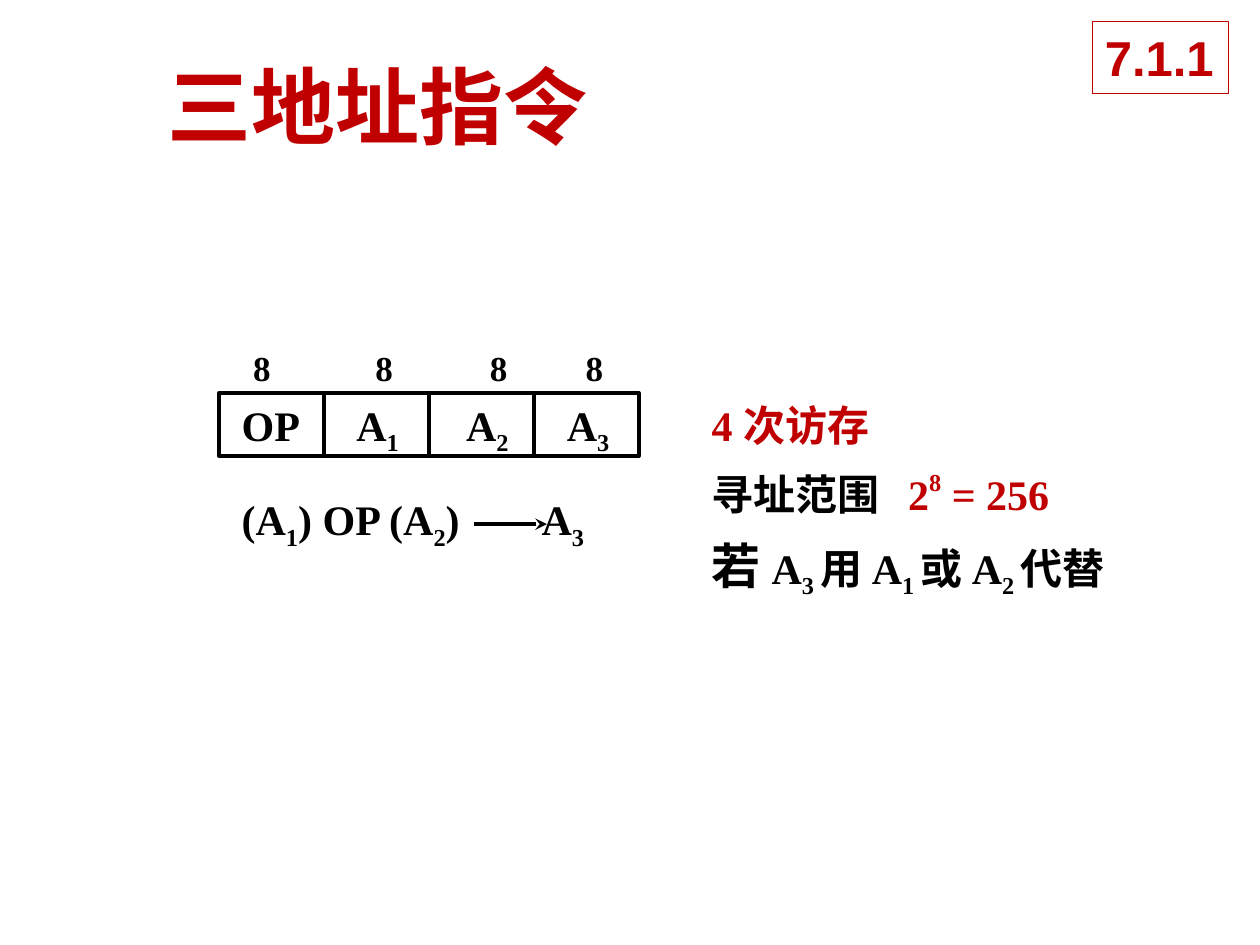
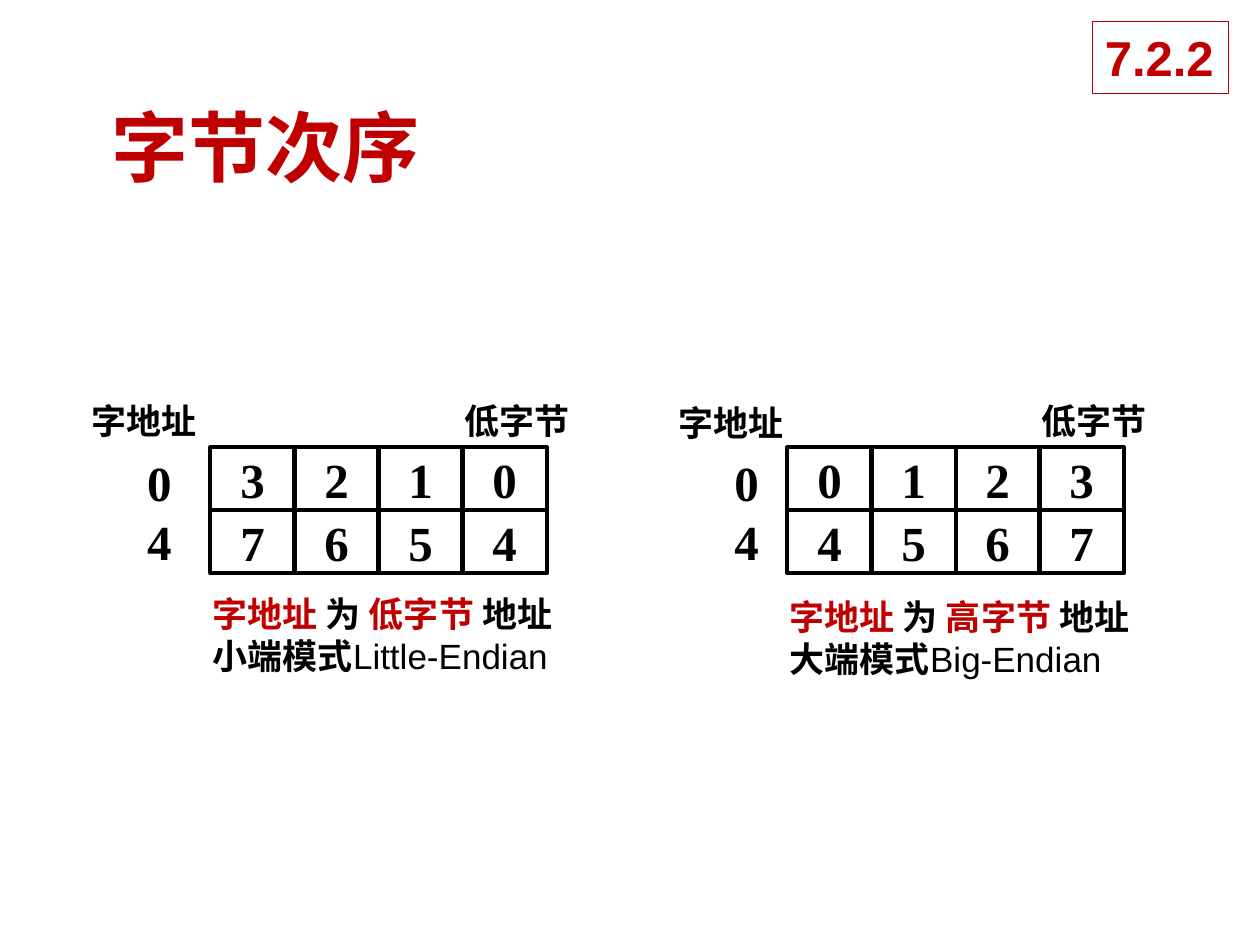
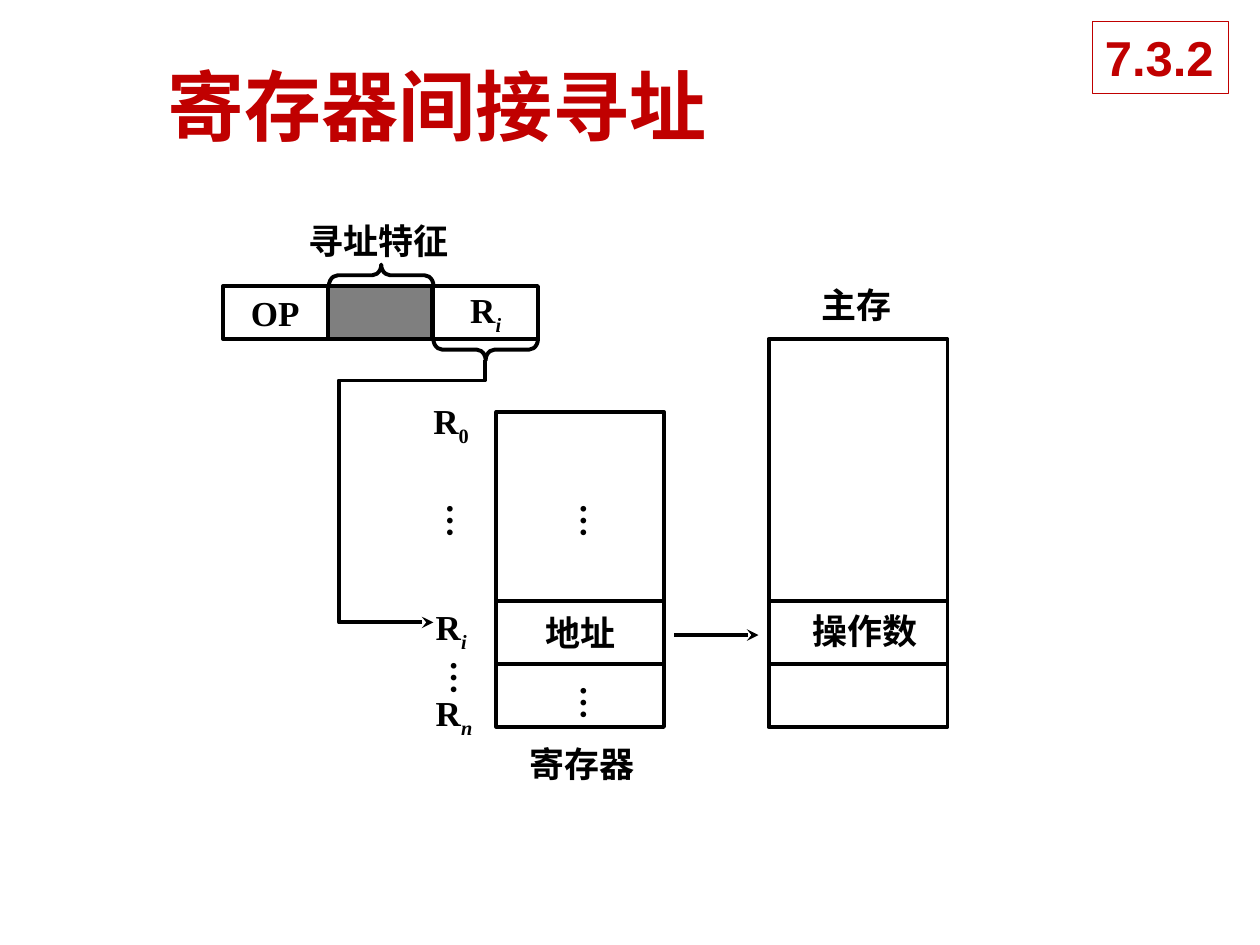
"""Build three slides on instruction formats, byte order and register indirect addressing."""
from lxml.etree import SubElement
from pptx import Presentation
from pptx.dml.color import RGBColor
from pptx.enum.shapes import MSO_CONNECTOR, MSO_SHAPE
from pptx.enum.text import MSO_ANCHOR, MSO_AUTO_SIZE, PP_ALIGN
from pptx.oxml.ns import qn
from pptx.util import Inches, Pt

COLORS = {"red": "C00000", "black": "000000", "white": "FFFFFF"}
CHINESE_FONT = "Noto Sans CJK SC"
BODY = {"name": "Times New Roman", "size": 20, "bold": True, "color": "black"}
RED = {"color": "red"}
SUB = {"baseline": -25}
SUB_ITALIC = {"baseline": -25, "italic": True}
SUPER = {"baseline": 45, "color": "red"}
ENGLISH = {"name": "Arial", "bold": False}


class Deck:
    """Hold the shared style and the current slide."""

    def __init__(self):
        self.deck = Presentation()
        self.deck.slide_width = Inches(10)
        self.deck.slide_height = Inches(7.5)
        self.page = None

    def start(self, title, section, left=1.23, top=0.42, size=44):
        self.page = self.deck.slides.add_slide(self.deck.slide_layouts[6])
        self.text(left, top, 8.42, 0.83, [[title]], wrap=True, grow=False,
                  anchor=MSO_ANCHOR.MIDDLE, name=CHINESE_FONT, size=size, color="red")
        badge = self.shape(8.67, 0.17, 1.08, 0.57, fill="white", line="red", weight=0.75)
        self.set_text(badge, [[section]], name="Arial", size=28, color="red")

    def set_text(self, box, lines, wrap=False, grow=True, anchor=MSO_ANCHOR.TOP,
                 align=PP_ALIGN.LEFT, tabs=(), **style):
        frame = box.text_frame
        settings = {
            "word_wrap": wrap,
            "vertical_anchor": anchor,
            "auto_size": MSO_AUTO_SIZE.SHAPE_TO_FIT_TEXT if grow else MSO_AUTO_SIZE.NONE,
        }
        for key, value in settings.items():
            setattr(frame, key, value)
        for index, spans in enumerate(lines):
            para = frame.add_paragraph() if index else frame.paragraphs[0]
            para.alignment = align
            if tabs:
                stops = SubElement(para._p.get_or_add_pPr(), qn("a:tabLst"))
                for stop in tabs:
                    SubElement(stops, qn("a:tab"), pos=str(Inches(stop)), algn="l")
            for span in spans:
                words, change = (span, {}) if isinstance(span, str) else span
                self.span(para, words, {**BODY, **style, **change})

    def span(self, para, words, values):
        run = para.add_run()
        run.text = words
        values = dict(values)
        run.font.color.rgb = RGBColor.from_string(COLORS[values.pop("color")])
        properties = run._r.get_or_add_rPr()
        if "baseline" in values:
            properties.set("baseline", str(values.pop("baseline") * 1000))
        values["size"] = Pt(values["size"])
        for key, value in values.items():
            setattr(run.font, key, value)
        SubElement(properties, qn("a:ea"), typeface=CHINESE_FONT)

    def text(self, left, top, width, height, lines, **style):
        box = self.page.shapes.add_textbox(*map(Inches, (left, top, width, height)))
        self.set_text(box, lines, **style)
        return box

    def dots(self, left, top):
        box = self.text(left, top, 0.53, 0.38, [["…"]])
        box.text_frame._txBody.bodyPr.set("vert", "eaVert")

    def outline(self, item, line="black", weight=2.25, arrow=False):
        item.line.color.rgb = RGBColor.from_string(COLORS[line])
        item.line.width = Pt(weight)
        if arrow:
            SubElement(item.line._ln, qn("a:tailEnd"), type="stealth")

    def shape(self, left, top, width, height, kind=MSO_SHAPE.RECTANGLE, fill=None,
              opacity=100, line="black", weight=2.25):
        item = self.page.shapes.add_shape(kind, *map(Inches, (left, top, width, height)))
        item.shadow.inherit = False
        if fill:
            item.fill.solid()
            item.fill.fore_color.rgb = RGBColor.from_string(COLORS[fill])
            if opacity < 100:
                color = item._element.spPr.find(qn("a:solidFill"))[0]
                SubElement(color, qn("a:alpha"), val=str(opacity * 1000))
        else:
            item.fill.background()
        self.outline(item, line, weight)
        return item

    def cell(self, left, top, width, height, spans, size=20):
        item = self.shape(left, top, width, height)
        self.set_text(item, [spans], grow=False, anchor=MSO_ANCHOR.MIDDLE,
                      align=PP_ALIGN.CENTER, size=size)

    def brace(self, left, top, rotation):
        item = self.shape(left, top, 0.17, 0.83, MSO_SHAPE.LEFT_BRACE)
        item.rotation = rotation
        item.adjustments[0] = 0.416

    def line(self, left, top, right, arrow=False):
        item = self.page.shapes.add_connector(
            MSO_CONNECTOR.STRAIGHT, *map(Inches, (left, top, right, top)))
        self.outline(item, arrow=arrow)
        SubElement(item._element.spPr, qn("a:effectLst"))

    def route(self, points):
        points = [(Inches(x), Inches(y)) for x, y in points]
        builder = self.page.shapes.build_freeform(*points[0])
        builder.add_line_segments(points[1:], close=False)
        item = builder.convert_to_shape()
        item.shadow.inherit = False
        item.fill.background()
        self.outline(item, arrow=True)


def build_three_address(deck):
    """Show the three-address instruction format."""
    deck.start("三地址指令", "7.1.1", size=48)
    deck.text(1.91, 2.7, 3.19, 0.43, [["8\t8\t8\t8"]], wrap=True, tabs=(0.97, 1.88, 2.64))
    deck.text(1.82, 3.12, 0.66, 0.5, [["OP"]], size=24)
    for number, left in enumerate((2.73, 3.6, 4.4), 1):
        deck.text(left, 3.12, 0.55, 0.5, [["A", (str(number), SUB)]], size=24)
    for column in range(4):
        deck.shape(1.74 + column * 2.5 / 3, 3.12, 0.83, 0.5)
    deck.text(1.82, 3.87, 3, 0.5,
              [["(A", ("1", SUB), ") OP (A", ("2", SUB), ")\tA", ("3", SUB)]],
              wrap=True, size=24, tabs=(2.38,))
    deck.line(3.76, 4.16, 4.34, arrow=True)
    deck.text(5.55, 3.12, 2.44, 0.5, [["4 次访存"]], wrap=True, size=24, color="red")
    deck.text(5.55, 3.66, 3.44, 0.5,
              [["寻址范围\t", ("2", RED), ("8", SUPER), (" = 256", RED)]],
              wrap=True, size=24, tabs=(1.56,))
    deck.text(5.55, 4.2, 3.83, 0.57,
              [[("若 ", {"size": 28}), "A", ("3 ", SUB), "用 A", ("1 ", SUB),
                "或 A", ("2 ", SUB), "代替"]], wrap=True, size=24)


def build_byte_order(deck):
    """Compare little-endian and big-endian word layouts."""
    deck.start("字节次序", "7.2.2", left=0.79, top=0.74)
    layouts = (
        (1.67, 0.63, 3.12, 4.65, ("3210", "7654"), "低字节", "小端模式", "Little-Endian"),
        (6.25, 5.29, 3.14, 4.68, ("0123", "4567"), "高字节", "大端模式", "Big-Endian"),
    )
    for left, address_left, address_top, note_top, rows, end_byte, mode, english in layouts:
        for row, digits in enumerate(rows):
            for column, digit in enumerate(digits):
                deck.cell(left + column * 2 / 3, 3.55 + row * 0.5, 0.67, 0.5, [digit], size=28)
        deck.text(address_left, address_top, 1.04, 0.43, [["字地址"]])
        deck.text(address_left + 0.44, 3.54, 0.4, 1.03, [["0"], ["4"]], size=28)
        deck.text(left + 1.92, 3.12, 1.33, 0.43, [["低字节"]], wrap=True)
        deck.text(left - 0.08, note_top, 3.42, 0.77,
                  [[("字地址 ", RED), "为 ", (end_byte + " ", RED), "地址"],
                   [mode, (english, ENGLISH)]], wrap=True)


def build_register_indirect(deck):
    """Trace an operand through a register to main memory."""
    deck.start("寄存器间接寻址", "7.3.2")
    deck.line(5.35, 5.04, 6.02, arrow=True)

    deck.shape(6.1, 2.69, 1.42, 3.08)
    for top in (4.77, 5.27):
        deck.line(6.1, top, 7.52)
    deck.text(6.35, 4.79, 1.04, 0.43, [["操作数"]])
    deck.text(6.42, 2.2, 0.76, 0.43, [["主存"]])

    deck.cell(1.77, 2.27, 0.83, 0.42, ["OP"])
    deck.shape(2.6, 2.27, 0.83, 0.42, fill="black", opacity=50)
    deck.cell(3.44, 2.27, 0.83, 0.42, ["R", ("i", SUB_ITALIC)])
    deck.brace(2.94, 1.77, 90)
    deck.text(2.35, 1.69, 1.32, 0.43, [["寻址特征"]])
    deck.brace(3.77, 2.36, 270)
    deck.route([(3.85, 2.86), (3.85, 3.02), (2.69, 3.02), (2.69, 4.94), (3.44, 4.94)])

    deck.cell(3.94, 4.77, 1.33, 0.5, ["地址"])
    deck.shape(3.94, 5.27, 1.33, 0.5)
    deck.shape(3.94, 3.27, 1.33, 1.5)
    for left, top in ((4.41, 3.9), (4.41, 5.34), (3.35, 3.9), (3.38, 5.14)):
        deck.dots(left, top)
    registers = (
        (3.34, 3.12, 0.49, ("0", SUB)),
        (3.36, 4.76, 0.45, ("i", SUB_ITALIC)),
        (3.36, 5.44, 0.5, ("n", SUB_ITALIC)),
    )
    for left, top, width, index in registers:
        deck.text(left, top, width, 0.43, [["R", index]])
    deck.text(4.1, 5.84, 1.42, 0.43, [["寄存器"]], wrap=True)


def main():
    """Build the slides and save the deck."""
    deck = Deck()
    build_three_address(deck)
    build_byte_order(deck)
    build_register_indirect(deck)
    deck.deck.save("out.pptx")


if __name__ == "__main__":
    main()
